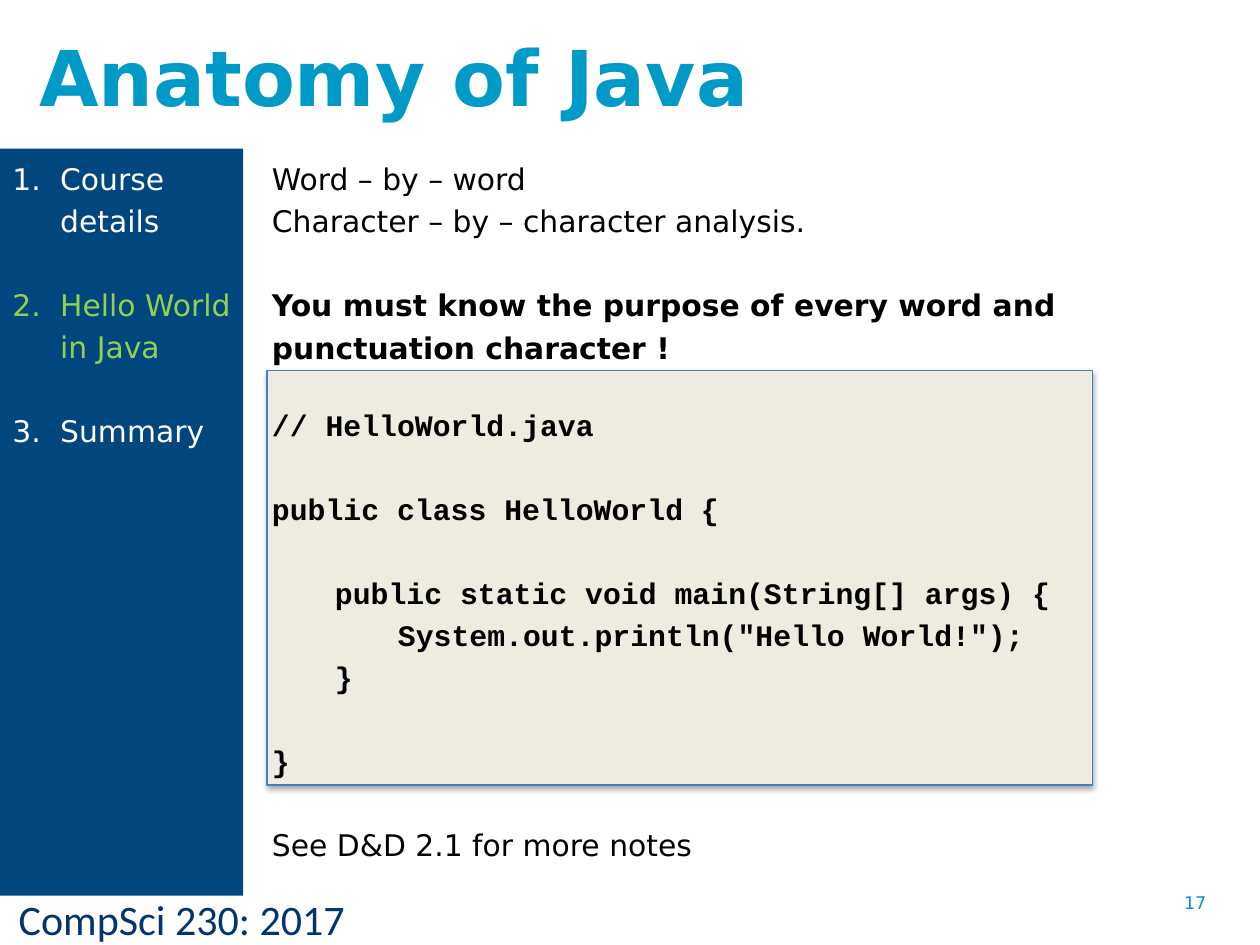
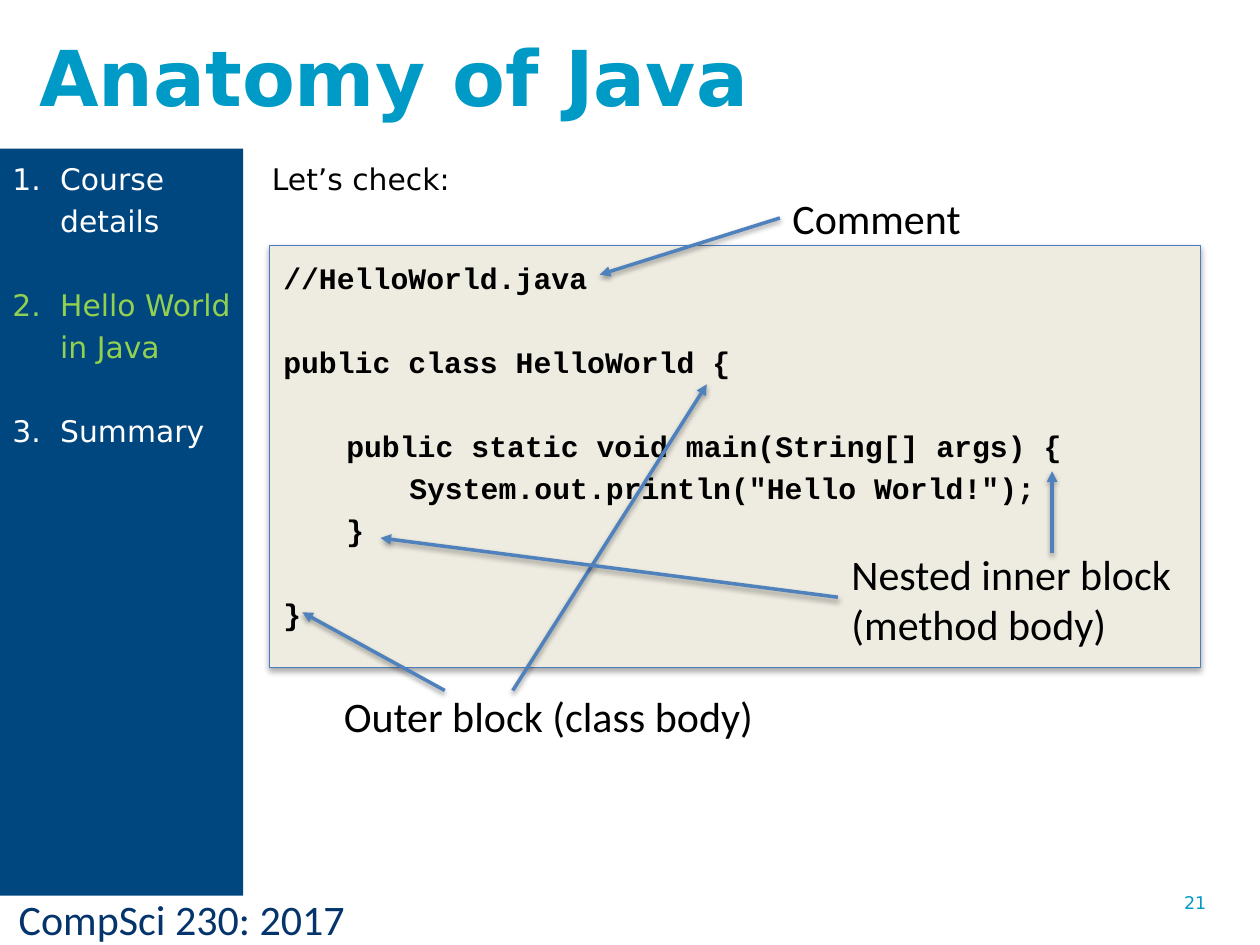
from dataclasses import dataclass

from lxml import etree
from pptx import Presentation
from pptx.dml.color import RGBColor
from pptx.enum.shapes import MSO_CONNECTOR, MSO_SHAPE
from pptx.enum.text import MSO_ANCHOR, PP_ALIGN
from pptx.oxml.ns import qn
from pptx.util import Inches, Pt

RECTANGLE = MSO_SHAPE.RECTANGLE
STRAIGHT = MSO_CONNECTOR.STRAIGHT
TOP = MSO_ANCHOR.TOP
LEFT = PP_ALIGN.LEFT

BLACK = RGBColor(0x00, 0x00, 0x00)
WHITE = RGBColor(0xFF, 0xFF, 0xFF)
CYAN = RGBColor(0x00, 0x9A, 0xC7)
NAVY = RGBColor(0x04, 0x34, 0x6C)
SIDEBAR_BLUE = RGBColor(0x00, 0x46, 0x7F)
CURRENT_GREEN = RGBColor(0x92, 0xD0, 0x50)
PANEL_BEIGE = RGBColor(0xEE, 0xEC, 0xE1)
PANEL_EDGE = RGBColor(0x4B, 0x7E, 0xBC)
ARROW_BLUE = RGBColor(0x4F, 0x81, 0xBD)

SANS = "DejaVu Sans"
MONO = "Courier New"
LABEL = "Calibri"

TITLE_ONLY = 5
LINE_PITCH = 24
TAB = 0.5
AGENDA_INDENT = 0.38
AGENDA = ("Course details", "Hello World in Java", "Summary")
CURRENT_TOPIC = "Hello World in Java"


@dataclass
class Line:
    """One paragraph; gap counts the empty lines above it."""
    text: str
    gap: int = 0
    level: int = 0
    font: str = SANS
    bold: bool = False
    color: RGBColor = BLACK


def code(text, gap=0, level=0):
    return Line(text, gap, level, MONO, True)


HELLO_WORLD = [
    code("public class HelloWorld {", gap=1),
    code("public static void main(String[] args) {", gap=1, level=1),
    code('System.out.println("Hello World!");', level=2),
    code("}", level=1),
    code("}", gap=1),
]


def style_font(paragraph, name, size, color, bold=False):
    font = paragraph.font
    font.name, font.size, font.bold = name, Pt(size), bold
    font.color.rgb = color


def write_lines(frame, lines):
    frame.word_wrap = True
    frame.vertical_anchor = TOP
    for index, line in enumerate(lines):
        paragraph = frame.add_paragraph() if index else frame.paragraphs[0]
        paragraph.text = line.text
        paragraph.alignment = LEFT
        paragraph.line_spacing = Pt(LINE_PITCH)
        paragraph.space_before = Pt(LINE_PITCH * line.gap)
        if line.level:
            paragraph._p.get_or_add_pPr().set("marL", str(Inches(TAB * line.level)))
        style_font(paragraph, line.font, 17, line.color, line.bold)


def add_body(slide, box, lines):
    body = slide.shapes.add_textbox(*map(Inches, box))
    write_lines(body.text_frame, lines)


def add_label(slide, box, text, font=LABEL, size=24, color=BLACK):
    label = slide.shapes.add_textbox(*map(Inches, box))
    label.text_frame.text = text
    for paragraph in label.text_frame.paragraphs:
        style_font(paragraph, font, size, color)


def cast_shadow(shape, opacity, distance):
    """Soft black shadow falling straight down; distance is in points."""
    effects = etree.SubElement(shape._element.spPr, qn("a:effectLst"))
    shadow = etree.SubElement(
        effects, qn("a:outerShdw"), blurRad=str(Pt(3.1)),
        dist=str(Pt(distance)), dir="5400000", rotWithShape="0")
    black = etree.SubElement(shadow, qn("a:srgbClr"), val="000000")
    etree.SubElement(black, qn("a:alpha"), val=str(opacity * 1000))


def add_code_panel(slide, box):
    panel = slide.shapes.add_shape(RECTANGLE, *map(Inches, box))
    panel.fill.solid()
    panel.fill.fore_color.rgb = PANEL_BEIGE
    panel.line.color.rgb = PANEL_EDGE
    panel.line.width = Pt(0.75)
    cast_shadow(panel, 35, 1.8)


def add_arrow(slide, start, end):
    arrow = slide.shapes.add_connector(STRAIGHT, *map(Inches, start + end))
    arrow.line.color.rgb = ARROW_BLUE
    arrow.line.width = Pt(2)
    etree.SubElement(arrow.line._get_or_add_ln(), qn("a:tailEnd"), type="triangle")
    cast_shadow(arrow, 38, 1.6)


def add_title(slide, text):
    title = slide.shapes.title
    title.left, title.top, title.width, title.height = map(
        Inches, (0.21, 0.14, 8.78, 0.78))
    frame = title.text_frame
    frame.text = text
    frame.vertical_anchor = TOP
    frame.margin_top = Inches(0.09)
    frame.paragraphs[0].alignment = LEFT
    style_font(frame.paragraphs[0], SANS, 44, CYAN, True)


def add_sidebar(slide, box):
    sidebar = slide.shapes.add_shape(RECTANGLE, *map(Inches, box))
    sidebar.shadow.inherit = False
    sidebar.fill.solid()
    sidebar.fill.fore_color.rgb = SIDEBAR_BLUE
    sidebar.line.fill.background()
    frame = sidebar.text_frame
    frame.margin_right = Inches(0.05)
    write_lines(frame, [
        Line(topic, gap=int(index > 0),
             color=CURRENT_GREEN if topic == CURRENT_TOPIC else WHITE)
        for index, topic in enumerate(AGENDA)])
    for paragraph in frame.paragraphs:
        properties = paragraph._p.get_or_add_pPr()
        properties.set("marL", str(Inches(AGENDA_INDENT)))
        properties.set("indent", str(-Inches(AGENDA_INDENT)))
        numbering = etree.Element(qn("a:buAutoNum"), type="arabicPeriod")
        properties.find(qn("a:defRPr")).addprevious(numbering)


def new_slide(deck, page):
    """Slide with the title, agenda sidebar, footer and page number."""
    slide = deck.slides.add_slide(deck.slide_layouts[TITLE_ONLY])
    add_title(slide, "Anatomy of Java")
    add_sidebar(slide, (0, 1.18, 1.93, 5.93))
    add_label(slide, (0.05, 7.04, 4.05, 0.5), "CompSci 230: 2017", color=NAVY)
    add_label(slide, (9.3, 7.03, 0.7, 0.52), str(page), SANS, 10, CYAN)
    return slide


def build_word_by_word(deck):
    slide = new_slide(deck, 17)
    add_code_panel(slide, (2.12, 2.94, 6.55, 3.29))
    add_body(slide, (2.06, 1.18, 6.93, 1.28), [
        Line("Word – by – word"),
        Line("Character – by – character analysis."),
        Line("You must know the purpose of every word and "
             "punctuation character !", gap=1, bold=True),
    ])
    add_body(slide, (2.06, 3.13, 6.93, 3.1), [
        code("// HelloWorld.java"),
        *HELLO_WORLD,
        Line("See D&D 2.1 for more notes", gap=1),
    ])


def build_annotated_blocks(deck):
    slide = new_slide(deck, 21)
    add_code_panel(slide, (2.14, 1.95, 7.39, 3.35))
    add_body(slide, (2.15, 1.96, 6.93, 2.78),
             [code("//HelloWorld.java"), *HELLO_WORLD])
    add_body(slide, (2.06, 1.18, 6.93, 0.5), [Line("Let’s check:")])

    annotations = [
        ("Comment", (6.19, 1.48, 1.55, 0.5),
         [((6.19, 1.73), (4.76, 2.18))]),
        ("Outer block (class body)", (2.63, 5.43, 3.48, 0.5),
         [((3.53, 5.48), (2.4, 4.86)), ((4.07, 5.48), (5.61, 3.05))]),
        ("Nested inner block\n(method body)", (6.66, 4.3, 2.76, 0.91),
         [((8.35, 4.39), (8.35, 3.74)), ((6.65, 4.74), (3.02, 4.27))]),
    ]
    for text, box, arrows in annotations:
        add_label(slide, box, text)
        for start, end in arrows:
            add_arrow(slide, start, end)


def main():
    deck = Presentation()
    deck.slide_width, deck.slide_height = Inches(10), Inches(7.5)
    build_word_by_word(deck)
    build_annotated_blocks(deck)
    deck.save("out.pptx")


if __name__ == "__main__":
    main()
